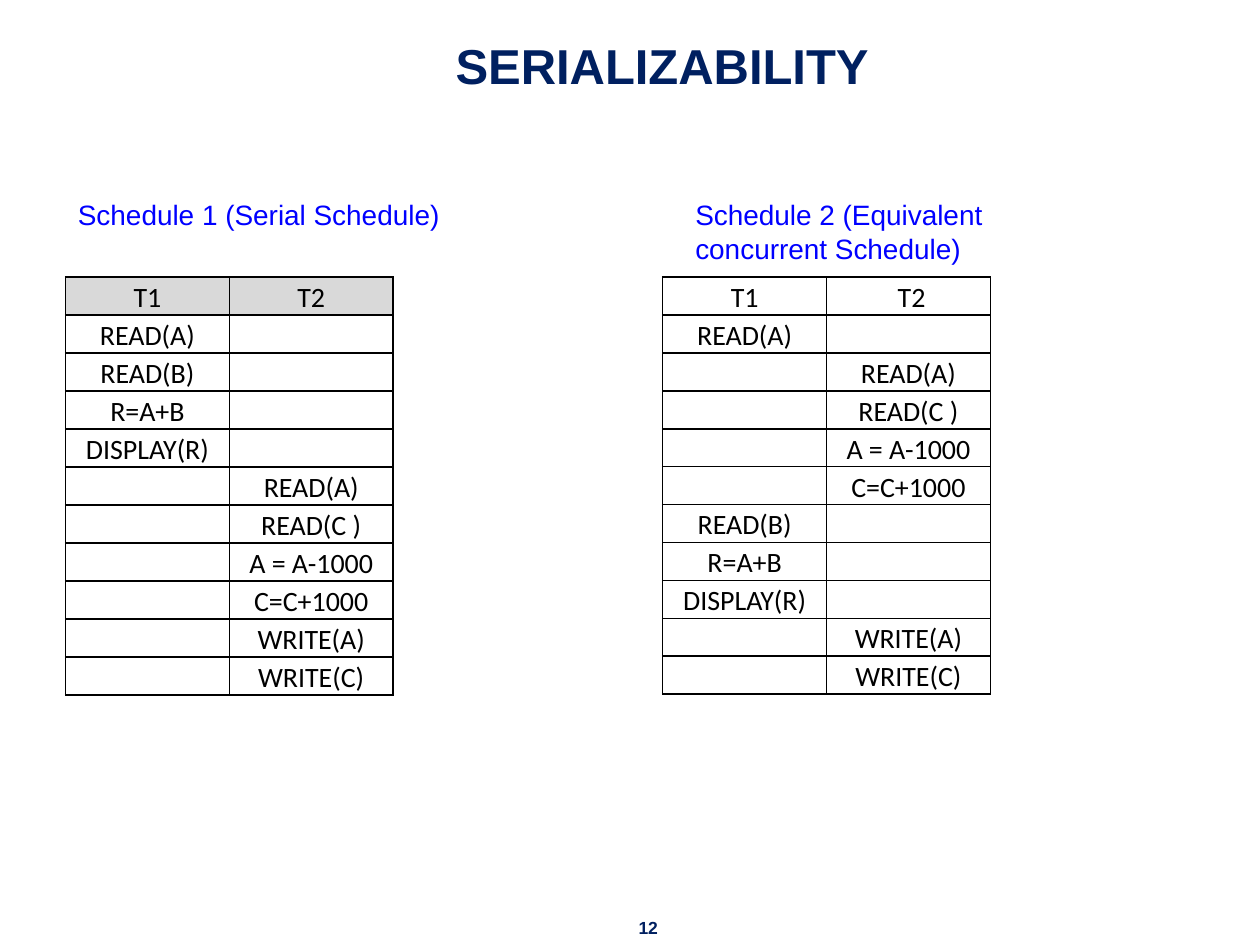
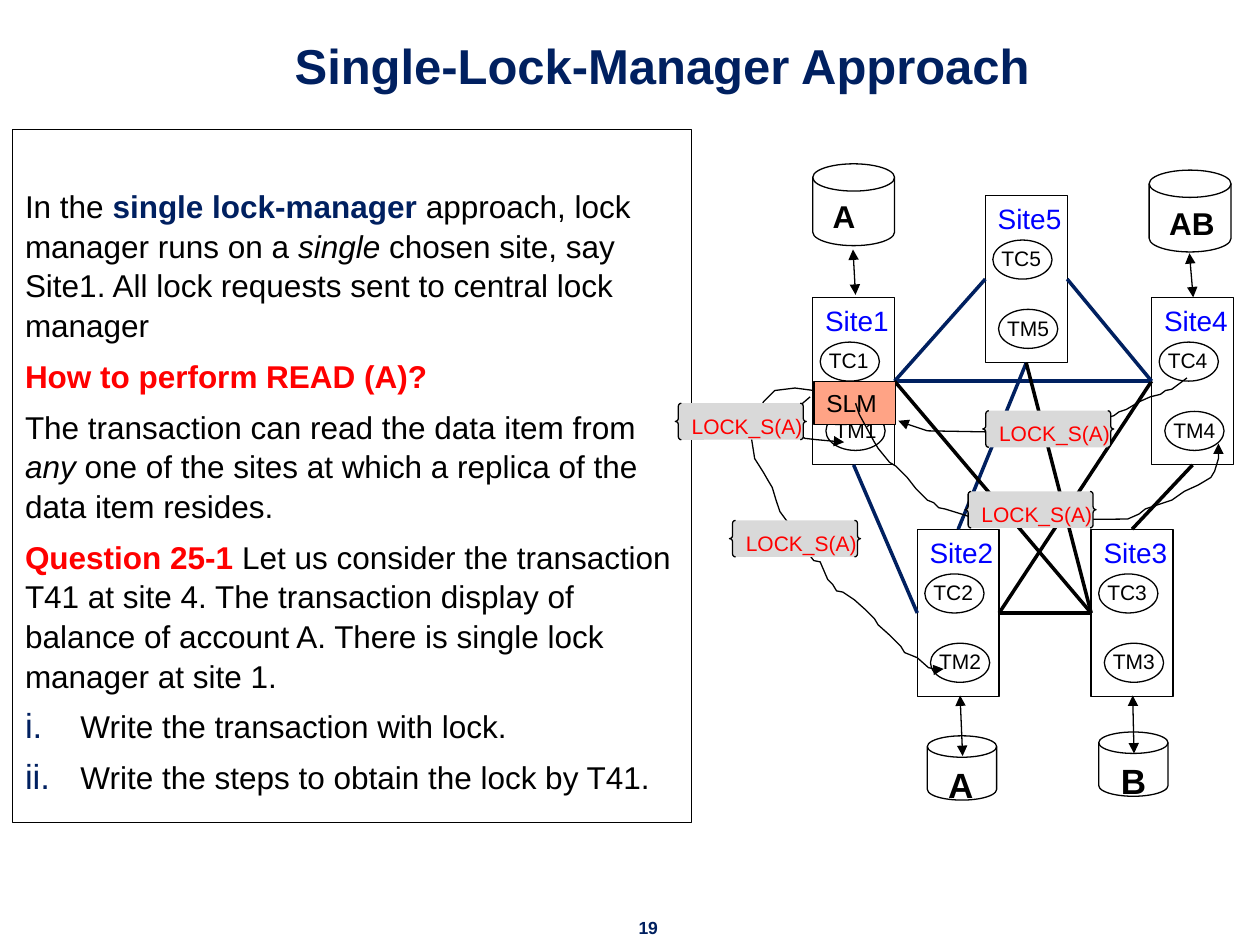
from lxml.etree import SubElement
from pptx import Presentation
from pptx.dml.color import RGBColor
from pptx.enum.shapes import MSO_CONNECTOR, MSO_SHAPE
from pptx.enum.text import MSO_ANCHOR, MSO_AUTO_SIZE, PP_ALIGN
from pptx.oxml.ns import qn
from pptx.util import Inches, Pt

# Shared grid: 1000 columns by 750 rows on a 10 x 7.5 inch slide
COLS, ROWS = 1000, 750
UNIT = Inches(10) // COLS
NAVY, BLUE, RED, BLACK = "002060", "0000FF", "FF0000", "000000"
WHITE, GREY, PEACH = "FFFFFF", "D9D9D9", "FFA385"
THIN, THICK = 0.75, 2

# Box and text formats
TITLE_BOX = (84, 13, 883, 67)
PAGE_BOX = (496, 723, 37, 27)
TITLE = dict(size=28, color=NAVY, bold=True)
PAGE = dict(size=10, color=NAVY, bold=True)
HEAD = dict(size=16, color=BLUE)
CELL = dict(size=16, name="Calibri")
NODE = dict(size=12)
LOCK = dict(size=12, color=RED)
BODY = dict(size=18)
STRONG = dict(size=18, color=RED, bold=True)
FLUSH = dict(margin_left=0, margin_top=0, margin_right=0, margin_bottom=0)

# Schedules: each step names the column it runs in
READ_1 = [(0, "READ(A)")]
REST_1 = [(0, "READ(B)"), (0, "R=A+B"), (0, "DISPLAY(R)")]
MOVE_2 = [(1, "READ(A)"), (1, "READ(C )"), (1, "A = A-1000"), (1, "C=C+1000")]
SAVE_2 = [(1, "WRITE(A)"), (1, "WRITE(C)")]

# Lock manager text: paragraphs of (text, format) runs
INTRO = [
    [("In the ", BODY),
     ("single lock-manager ", dict(size=18, color=NAVY, bold=True)),
     ("approach, lock manager runs on a ", BODY),
     ("single", dict(size=18, italic=True)),
     (" chosen site, say Site1. All lock requests sent to central lock manager", BODY)],
    [("How to perform READ (A)?", STRONG)],
    [("The transaction can read the data item from ", BODY),
     ("any", dict(size=18, italic=True)),
     (" one of the sites at which a replica of the data item resides.", BODY)],
    [("Question 25-1 ", STRONG),
     ("Let us consider the transaction T41 at site 4. The transaction display of "
      "balance of account A. There is single lock manager at site 1.", BODY)],
]
TASKS = [
    [("Write the transaction with lock.", BODY)],
    [("Write the steps to obtain the lock by T41.", BODY)],
]

# Network parts, relative to the diagram box
SITES = {1: (145, 136), 4: (414, 136), 5: (282, 55), 2: (228, 320), 3: (366, 320)}
TOP, LEFT, BOTTOM, RIGHT = range(4)
LINKS = [
    (1, RIGHT, 4, LEFT, NAVY), (1, RIGHT, 5, LEFT, NAVY),
    (1, BOTTOM, 2, LEFT, NAVY), (4, LEFT, 2, RIGHT, BLACK),
    (5, RIGHT, 4, LEFT, NAVY), (5, BOTTOM, 2, TOP, NAVY),
    (2, RIGHT, 3, LEFT, BLACK), (1, RIGHT, 3, LEFT, BLACK),
    (5, BOTTOM, 3, LEFT, BLACK), (4, BOTTOM, 3, TOP, BLACK),
]
# Disk box, label, label size, arrow from and to
DISKS = [
    ((236, 484, 55, 51), " A", 20, (262, 452, 264, 500)),
    ((372, 481, 55, 51), " B", 20, (399, 452, 400, 498)),
    ((412, 35, 65, 65), " AB", 18, (444, 101, 447, 136)),
    ((145, 30, 65, 65), " A", 18, (177, 98, 179, 134)),
]
# Lock message: place of its label, then its route
LOCKS = [
    ((280, 226), [
        (442, 200), (430, 209), (425, 210), (421, 213), (413, 215), (404, 219),
        (399, 222), (394, 225), (388, 227), (384, 230), (373, 233), (369, 234),
        (337, 237), (310, 240), (303, 242), (293, 243), (236, 242), (230, 240),
        (221, 237), (215, 236), (213, 234)]),
    ((79, 313), [
        (146, 210), (131, 208), (115, 210), (106, 219), (103, 225), (101, 230),
        (99, 236), (96, 245), (99, 264), (106, 275), (110, 282), (113, 287),
        (116, 297), (119, 306), (130, 321), (136, 330), (142, 340), (146, 345),
        (151, 346), (157, 360), (161, 364), (164, 369), (169, 370), (178, 376),
        (187, 384), (194, 391), (197, 396), (206, 404), (215, 413), (218, 418),
        (228, 422), (237, 430), (242, 431), (246, 434), (249, 431)]),
    ((266, 290), [
        (179, 220), (182, 229), (188, 240), (194, 251), (197, 256), (206, 267),
        (211, 270), (220, 279), (227, 288), (236, 297), (241, 299), (245, 303),
        (250, 304), (263, 308), (269, 310), (287, 313), (395, 312), (404, 308),
        (409, 304), (430, 297), (440, 290), (451, 285), (461, 279), (464, 274),
        (467, 264), (467, 252)]),
    ((36, 220), [
        (143, 215), (136, 221), (131, 224), (127, 228), (130, 243), (139, 248),
        (148, 249), (170, 251)]),
]


def paint(hue):
    return RGBColor.from_string(hue)


def grid(*cells):
    return [int(cell * UNIT) for cell in cells]


def style(item, values):
    for key, value in values.items():
        setattr(item, key, value)


def write(para, text, look):
    """Add one run; the look overrides plain black Arial."""
    run = para.add_run()
    run.text = text
    look = dict(name="Arial", color=BLACK, bold=False) | look
    run.font.color.rgb = paint(look.pop("color"))
    style(run.font, look | dict(size=Pt(look["size"])))


def label(shape, text, look, align=PP_ALIGN.LEFT, **frame):
    base = dict(word_wrap=False, vertical_anchor=MSO_ANCHOR.TOP,
                auto_size=MSO_AUTO_SIZE.NONE)
    style(shape.text_frame, base | frame)
    para = shape.text_frame.paragraphs[0]
    para.alignment = align
    write(para, text, look)


def stroke(shape, hue=BLACK, width=THIN, ends=()):
    shape.line.color.rgb = paint(hue)
    shape.line.width = Pt(width)
    line = shape.element.spPr.find(qn("a:ln"))
    for end in ends:
        SubElement(line, qn(f"a:{end}End"), type="triangle")


def block(slide, kind, box, fill=WHITE):
    shape = slide.shapes.add_shape(kind, *grid(*box))
    shape.shadow.inherit = False
    shape.fill.solid()
    shape.fill.fore_color.rgb = paint(fill)
    stroke(shape)
    return shape


def wire(slide, ends, hue=BLACK, width=THIN, tips=()):
    line = slide.shapes.add_connector(MSO_CONNECTOR.STRAIGHT, *grid(*ends))
    stroke(line, hue, width, tips)
    SubElement(line.element.spPr, qn("a:effectLst"))
    return line


def start(deck, title, page):
    """Add a slide with the shared title and page number."""
    slide = deck.slides.add_slide(deck.slide_layouts[5])
    head = slide.shapes.title
    style(head, dict(zip(("left", "top", "width", "height"), grid(*TITLE_BOX))))
    label(head, title, TITLE, PP_ALIGN.CENTER, word_wrap=True,
          vertical_anchor=MSO_ANCHOR.BOTTOM)
    foot = slide.shapes.add_textbox(*grid(*PAGE_BOX))
    label(foot, str(page), PAGE, PP_ALIGN.CENTER)
    return slide


def fill_cell(cell, text, shade):
    style(cell, dict(margin_left=Inches(0.07), margin_right=Inches(0.07),
                     margin_top=Inches(0.01), margin_bottom=0))
    para = cell.text_frame.paragraphs[0]
    style(para, dict(alignment=PP_ALIGN.CENTER, line_spacing=1.07))
    if text:
        write(para, text, CELL)
    else:
        SubElement(para._p, qn("a:endParaRPr"), sz="1600")
    # Borders come before the fill
    props = cell._tc.get_or_add_tcPr()
    for side in "LRTB":
        edge = SubElement(props, qn(f"a:ln{side}"), w=str(Pt(1)))
        ink = SubElement(edge, qn("a:solidFill"))
        SubElement(ink, qn("a:srgbClr"), val=BLACK)
    if shade:
        cell.fill.solid()
        cell.fill.fore_color.rgb = paint(shade)
    else:
        cell.fill.background()


def schedule(slide, box, shift, title, heads, steps, shade=None):
    """Heading above a two-column table of steps."""
    left, top, width, height = box
    head = slide.shapes.add_textbox(*grid(left + shift, top - 68, 314, 64))
    label(head, title, HEAD, word_wrap=True)
    rows = [heads] + [[text if col == side else "" for col in (0, 1)]
                      for side, text in steps]
    table = slide.shapes.add_table(len(rows), 2, *grid(*box)).table
    style(table, dict(first_row=False, horz_banding=False))
    for r, texts in enumerate(rows):
        table.rows[r].height = height * UNIT // len(rows)
        for c, text in enumerate(texts):
            fill_cell(table.cell(r, c), text, shade if r == 0 else None)


def prose(slide, box):
    """Framed text with numbered tasks at its end."""
    panel = slide.shapes.add_textbox(*grid(*box))
    stroke(panel)
    frame = panel.text_frame
    style(frame, dict(word_wrap=True, margin_top=Inches(0.44)))
    for n, runs in enumerate(INTRO + TASKS):
        para = frame.add_paragraph() if n else frame.paragraphs[0]
        style(para, dict(line_spacing=1.05, space_before=Pt(6.3 if n else 0)))
        for text, look in runs:
            write(para, text, look)
        if n >= len(INTRO):
            props = para._p.get_or_add_pPr()
            props.set("marL", str(Inches(0.44)))
            props.set("indent", str(-Inches(0.44)))
            hue = SubElement(props, qn("a:buClr"))
            SubElement(hue, qn("a:srgbClr"), val=NAVY)
            SubElement(props, qn("a:buSzPct"), val="110000")
            SubElement(props, qn("a:buFont"), typeface="Arial")
            SubElement(props, qn("a:buAutoNum"), type="romanLcPeriod")


def site(slide, num, x, y):
    """Site box with its coordinator and manager."""
    frame = block(slide, MSO_SHAPE.RECTANGLE, (x, y, 65, 133))
    label(frame, f"Site{num}", HEAD)
    for kind, dx, dy in (("TC", 6, 35.5), ("TM", 10.5, 90.5)):
        node = block(slide, MSO_SHAPE.OVAL, (x + dx, y + dy, 47, 31))
        label(node, f"{kind}{num}", NODE, **FLUSH)
    return frame


def route(slide, x, y, points):
    pen = slide.shapes.build_freeform(*points[0], scale=UNIT)
    pen.add_line_segments(points[1:], close=False)
    curve = pen.convert_to_shape(*grid(x, y))
    curve.shadow.inherit = False
    curve.fill.background()
    stroke(curve, ends=["tail"])


def network(slide, x, y):
    # Sites and the links that join them
    nodes = {num: site(slide, num, x + dx, y + dy) for num, (dx, dy) in SITES.items()}
    for one, side, two, face, hue in LINKS:
        link = wire(slide, (0, 0, 0, 0), hue, THICK)
        link.begin_connect(nodes[one], side)
        link.end_connect(nodes[two], face)
    # Data stores
    for (dx, dy, w, h), text, size, (ax, ay, bx, by) in DISKS:
        disk = block(slide, MSO_SHAPE.FLOWCHART_MAGNETIC_DISK, (x + dx, y + dy, w, h))
        label(disk, text, dict(size=size, bold=True))
        wire(slide, (x + ax, y + ay, x + bx, y + by), tips=("head", "tail"))
    # Single lock manager
    slm = block(slide, MSO_SHAPE.RECTANGLE, (x + 146, y + 203, 65, 34), PEACH)
    label(slm, "SLM", dict(size=14), word_wrap=True)
    # Lock messages
    for (dx, dy), points in LOCKS:
        route(slide, x, y, points)
        brace = block(slide, MSO_SHAPE.DOUBLE_BRACE, (x + dx, y + dy, 104, 29), GREY)
        label(brace, "LOCK_S(A)", LOCK)


def main():
    deck = Presentation()
    deck.slide_width, deck.slide_height = grid(COLS, ROWS)

    slide = start(deck, "SERIALIZABILITY", 12)
    schedule(slide, (52, 220, 260, 332), 0, "Schedule 1 (Serial Schedule)",
             ["T1", "T2"], READ_1 + REST_1 + MOVE_2 + SAVE_2, GREY)
    schedule(slide, (526, 220, 260, 325), 16,
             "Schedule 2 (Equivalent concurrent Schedule)",
             ["T1", " T2"], READ_1 + MOVE_2 + REST_1 + SAVE_2)

    slide = start(deck, "Single-Lock-Manager Approach", 19)
    prose(slide, (10, 103, 539, 550))
    network(slide, 500, 100)
    deck.save("out.pptx")


if __name__ == "__main__":
    main()
